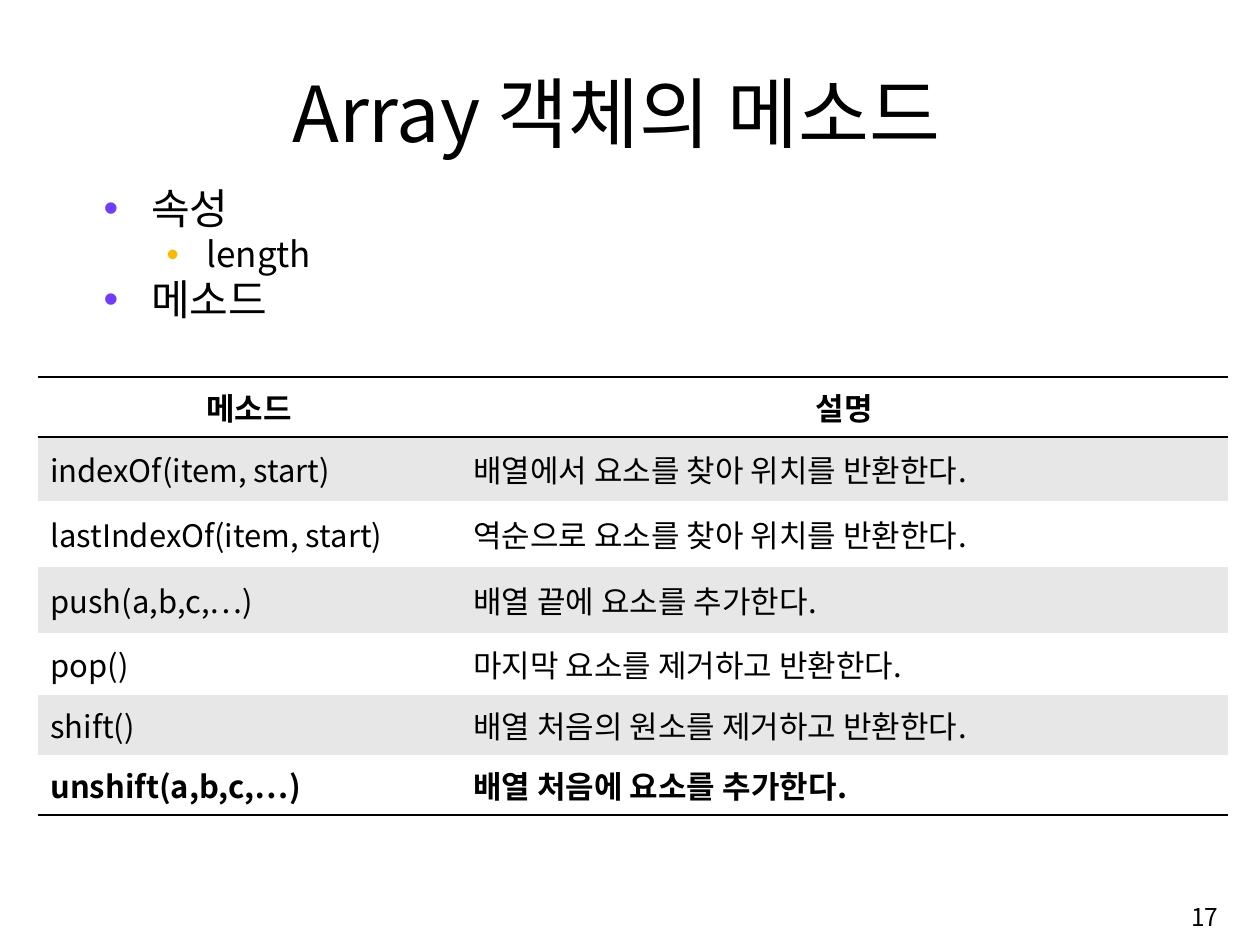
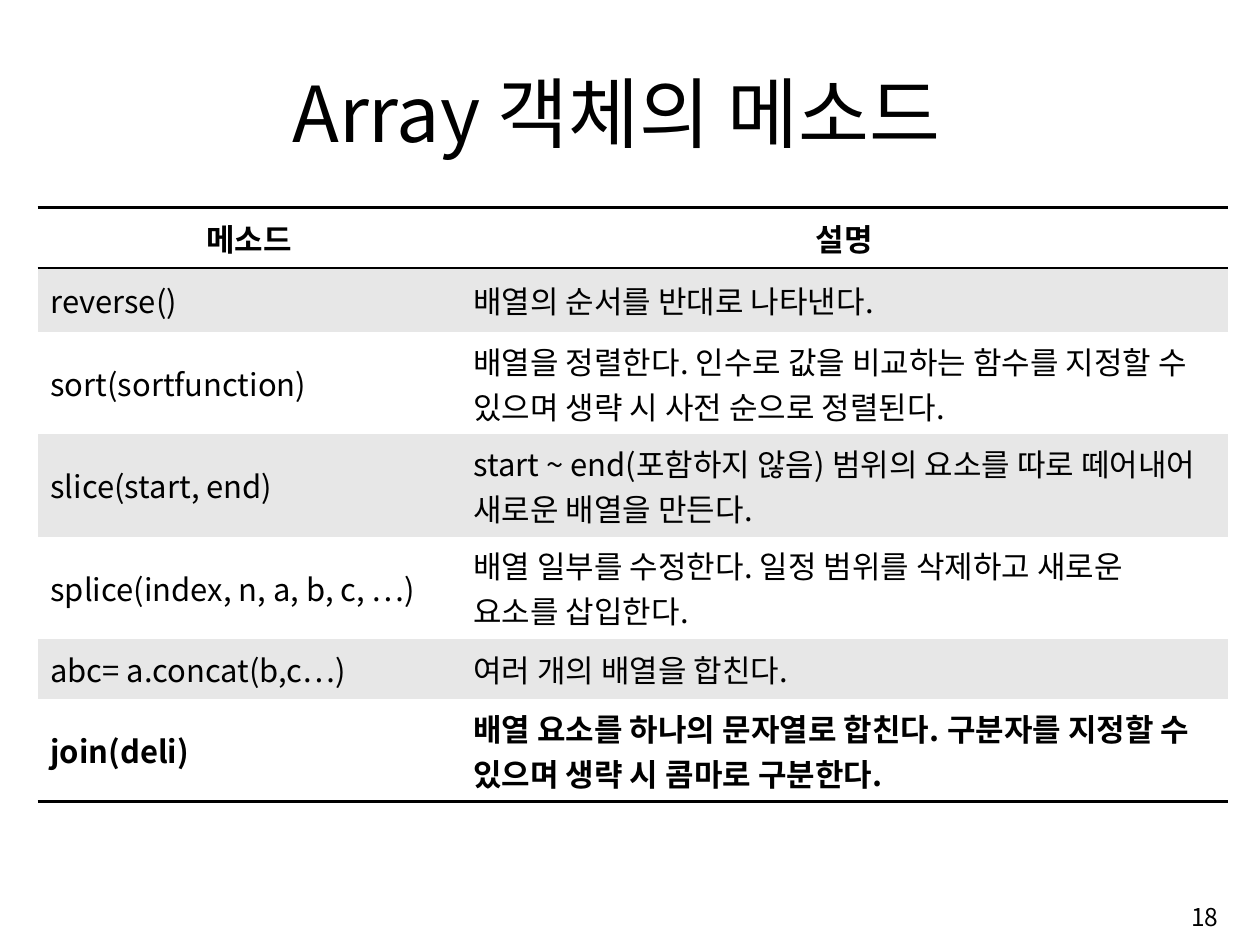
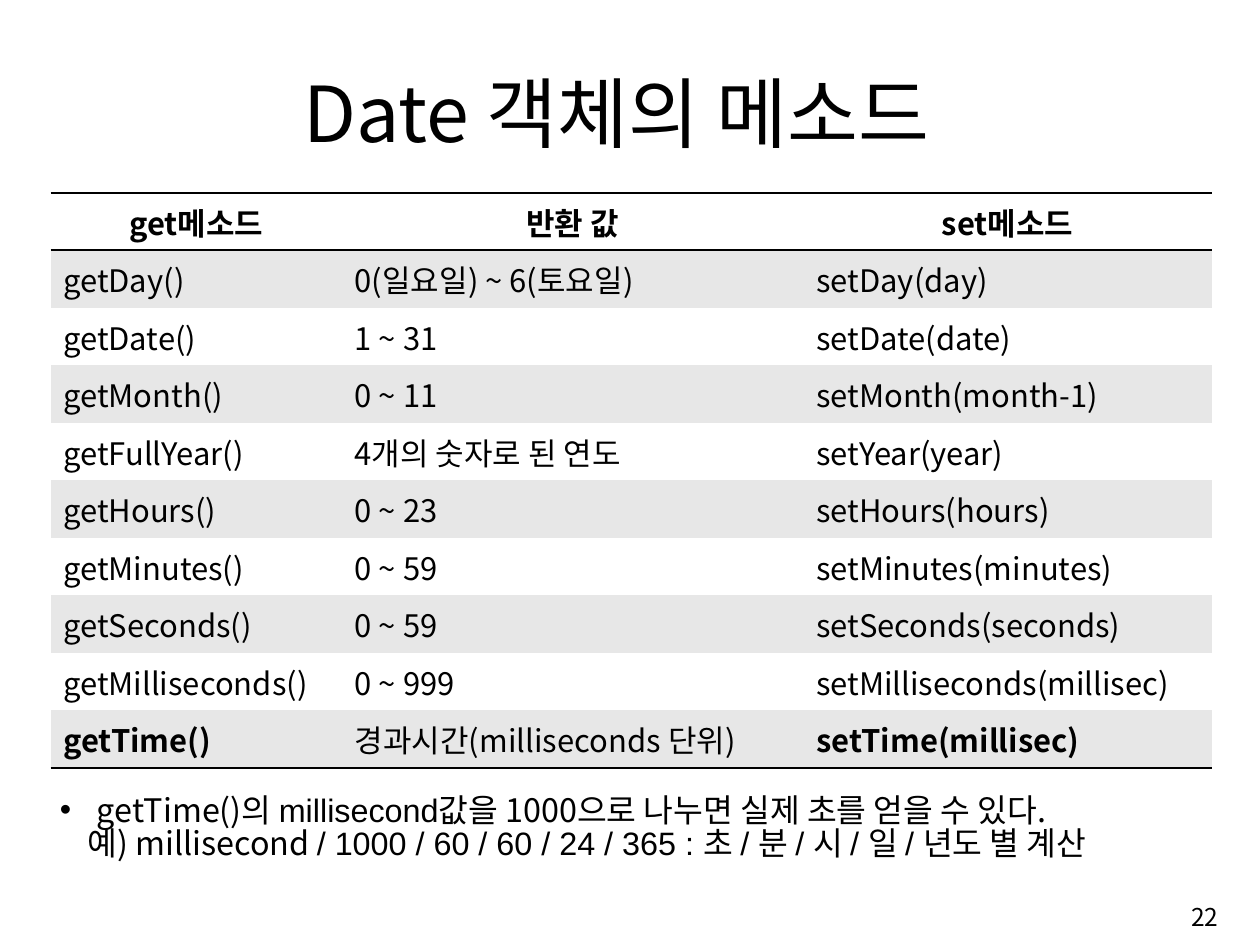
from dataclasses import dataclass
from pptx import Presentation
from pptx.dml.color import RGBColor as Rgb
from pptx.enum.text import MSO_ANCHOR as Anchor, PP_ALIGN as Align
from pptx.oxml.ns import qn
from pptx.oxml.xmlchemy import OxmlElement as Node
from pptx.util import Pt


@dataclass(frozen=True)
class Theme:
    ink: str = "000000"
    paper: str = "FFFFFF"
    band: str = "E7E7E7"
    violet: str = "703DFF"
    amber: str = "FFB800"
    face: str = "Noto Sans CJK KR"
    latin: str = "Arial"
    title: float = 57.2
    head: float = 31.2
    sub: float = 26
    note: float = 24
    cell: float = 23
    page: float = 18.2
    rule: float = 2


T = Theme()
SIZE = (935.28, 701.28)
TITLE = (75.6, 43.9, 763.9, 77.8)
PAGE = (718.6, 658.8, 193, 43.2)
LIST = (69.8, 136.1, 840.2, 140)
NOTE = (37.4, 582.5, 861.8, 65.5)
NO_GRID = "{2D5ABB26-0587-4C30-8999-92F81FD0307C}"
COLS = (314, 569.5)
HEAD = ("메소드", "설명")


def child(node, tag, **attrs):
    item = Node(tag)
    for key, val in attrs.items():
        item.set(key, str(val))
    node.append(item)
    return item


def style(para, size, bold=False, align=Align.LEFT):
    para.alignment = align
    font = para.font
    font.name, font.size, font.bold = T.face, Pt(size), bold
    font.color.rgb = Rgb.from_string(T.ink)
    props = para._p.pPr.find(qn("a:defRPr"))
    child(props, "a:ea", typeface=T.face)


def indent(para, left, hang=0):
    props = para._p.get_or_add_pPr()
    props.set("marL", str(Pt(left)))
    props.set("indent", str(Pt(-hang)))


def bullet(para, color):
    props = para._p.get_or_add_pPr()
    child(child(props, "a:buClr"), "a:srgbClr", val=color)
    child(props, "a:buFont", typeface=T.latin)
    child(props, "a:buChar", char="•")


def frame(slide, box, anchor):
    text = slide.shapes.add_textbox(*map(Pt, box)).text_frame
    text.word_wrap = True
    text.vertical_anchor = anchor
    return text


def label(slide, box, words, size, align):
    para = frame(slide, box, Anchor.MIDDLE).paragraphs[0]
    para.text = words
    style(para, size, align=align)


def outline(slide, box, items):
    text = frame(slide, box, Anchor.TOP)
    looks = ((T.head, T.violet, 35.3, 35.3), (T.sub, T.amber, 76.3, 29.5))
    for num, (level, words) in enumerate(items):
        para = text.add_paragraph() if num else text.paragraphs[0]
        size, color, left, hang = looks[level]
        para.text = words
        para.level = level
        para.line_spacing = 0.9
        para.space_before = Pt(2.8)
        indent(para, left, hang)
        bullet(para, color)
        style(para, size)


def edge(props, tag):
    line = child(props, tag, w=Pt(T.rule))
    child(child(line, "a:solidFill"), "a:srgbClr", val=T.ink)


def fill(cell, words, shade, bold, align, edges):
    cell.margin_left = cell.margin_right = Pt(9.36)
    cell.margin_top = cell.margin_bottom = Pt(4.68)
    cell.vertical_anchor = Anchor.MIDDLE
    props = cell._tc.get_or_add_tcPr()
    for tag in edges:
        edge(props, tag)
    cell.fill.solid()
    cell.fill.fore_color.rgb = Rgb.from_string(shade)
    para = cell.text_frame.paragraphs[0]
    para.text = words
    style(para, T.cell, bold, align)


def grid(slide, spot, cols, highs, rows, plain=()):
    box = (*spot, sum(cols), sum(highs))
    table = slide.shapes.add_table(len(rows), len(cols), *map(Pt, box)).table
    table.horz_banding = False
    table._tbl.tblPr.find(qn("a:tableStyleId")).text = NO_GRID
    for col, wide in zip(table.columns, cols):
        col.width = Pt(wide)
    last = len(rows) - 1
    for r, (high, row) in enumerate(zip(highs, rows)):
        table.rows[r].height = Pt(high)
        shade = T.band if r % 2 else T.paper
        align = Align.LEFT if r else Align.CENTER
        edges = {0: ("a:lnT", "a:lnB"), last: ("a:lnB",)}.get(r, ())
        for c, words in enumerate(row):
            bold = r == 0 or (r == last and c not in plain)
            fill(table.cell(r, c), words, shade, bold, align, edges)


def note(slide, box, lines):
    text = frame(slide, box, Anchor.MIDDLE)
    for num, parts in enumerate(lines):
        para = text.add_paragraph() if num else text.paragraphs[0]
        para.line_spacing = 0.85
        if num:
            indent(para, 20.5)
        else:
            indent(para, 27.4, 27.4)
            bullet(para, T.ink)
        style(para, T.note)
        for words, face in parts:
            run = para.add_run()
            run.text = words
            if face != T.face:
                run.font.name = face


def page(deck, title, num):
    slide = deck.slides.add_slide(deck.slide_layouts[6])
    label(slide, TITLE, title, T.title, Align.CENTER)
    label(slide, PAGE, str(num), T.page, Align.RIGHT)
    return slide


def basics(deck):
    slide = page(deck, "Array 객체의 메소드", 17)
    outline(slide, LIST, ((0, "속성"), (1, "length"), (0, "메소드")))
    grid(slide, (28, 279.6), COLS, (44.6, 47.5, 49, 49, 46, 44.6, 44.6), (
        HEAD,
        ("indexOf(item, start)", "배열에서 요소를 찾아 위치를 반환한다."),
        ("lastIndexOf(item, start)", "역순으로 요소를 찾아 위치를 반환한다."),
        ("push(a,b,c,…)", "배열 끝에 요소를 추가한다."),
        ("pop()", "마지막 요소를 제거하고 반환한다."),
        ("shift()", "배열 처음의 원소를 제거하고 반환한다."),
        ("unshift(a,b,c,…)", "배열 처음에 요소를 추가한다."),
    ))


def extras(deck):
    slide = page(deck, "Array 객체의 메소드", 18)
    grid(slide, (28, 154.1), COLS, (44.6, 47.5, 76, 76, 76, 44.6, 76), (
        HEAD,
        ("reverse()", "배열의 순서를 반대로 나타낸다."),
        ("sort(sortfunction)",
         "배열을 정렬한다. 인수로 값을 비교하는 함수를 지정할 수 있으며 생략 시 사전 순으로 정렬된다."),
        ("slice(start, end)",
         "start ~ end(포함하지 않음) 범위의 요소를 따로 떼어내어 새로운 배열을 만든다."),
        ("splice(index, n, a, b, c, …)",
         "배열 일부를 수정한다. 일정 범위를 삭제하고 새로운 요소를 삽입한다."),
        ("abc= a.concat(b,c…)", "여러 개의 배열을 합친다."),
        ("join(deli)",
         "배열 요소를 하나의 문자열로 합친다. 구분자를 지정할 수 있으며 생략 시 콤마로 구분한다."),
    ))


def dates(deck):
    slide = page(deck, "Date 객체의 메소드", 22)
    rows = (
        ("get메소드", "반환 값", "set메소드"),
        ("getDay()", "0(일요일) ~ 6(토요일)", "setDay(day)"),
        ("getDate()", "1 ~ 31", "setDate(date)"),
        ("getMonth()", "0 ~ 11", "setMonth(month-1)"),
        ("getFullYear()", "4개의 숫자로 된 연도", "setYear(year)"),
        ("getHours()", "0 ~ 23", "setHours(hours)"),
        ("getMinutes()", "0 ~ 59", "setMinutes(minutes)"),
        ("getSeconds()", "0 ~ 59", "setSeconds(seconds)"),
        ("getMilliseconds()", "0 ~ 999", "setMilliseconds(millisec)"),
        ("getTime()", "경과시간(milliseconds 단위)", "setTime(millisec)"),
    )
    grid(slide, (37.5, 143), (216.5, 342.5, 303), [42.7] * len(rows), rows, plain=(1,))
    note(slide, NOTE, (
        (("getTime()의 ", T.face), ("millisecond", T.latin),
         ("값을 1000으로 나누면 실제 초를 얻을 수 있다.", T.face)),
        (("예) millisecond ", T.face),
         ("/ 1000 / 60 / 60 / 24 / 365 : 초 / 분 / 시 / 일 / 년도 별 계산", T.latin)),
    ))


def main():
    deck = Presentation()
    deck.slide_width, deck.slide_height = map(Pt, SIZE)
    for build in (basics, extras, dates):
        build(deck)
    deck.save("out.pptx")


if __name__ == "__main__":
    main()
